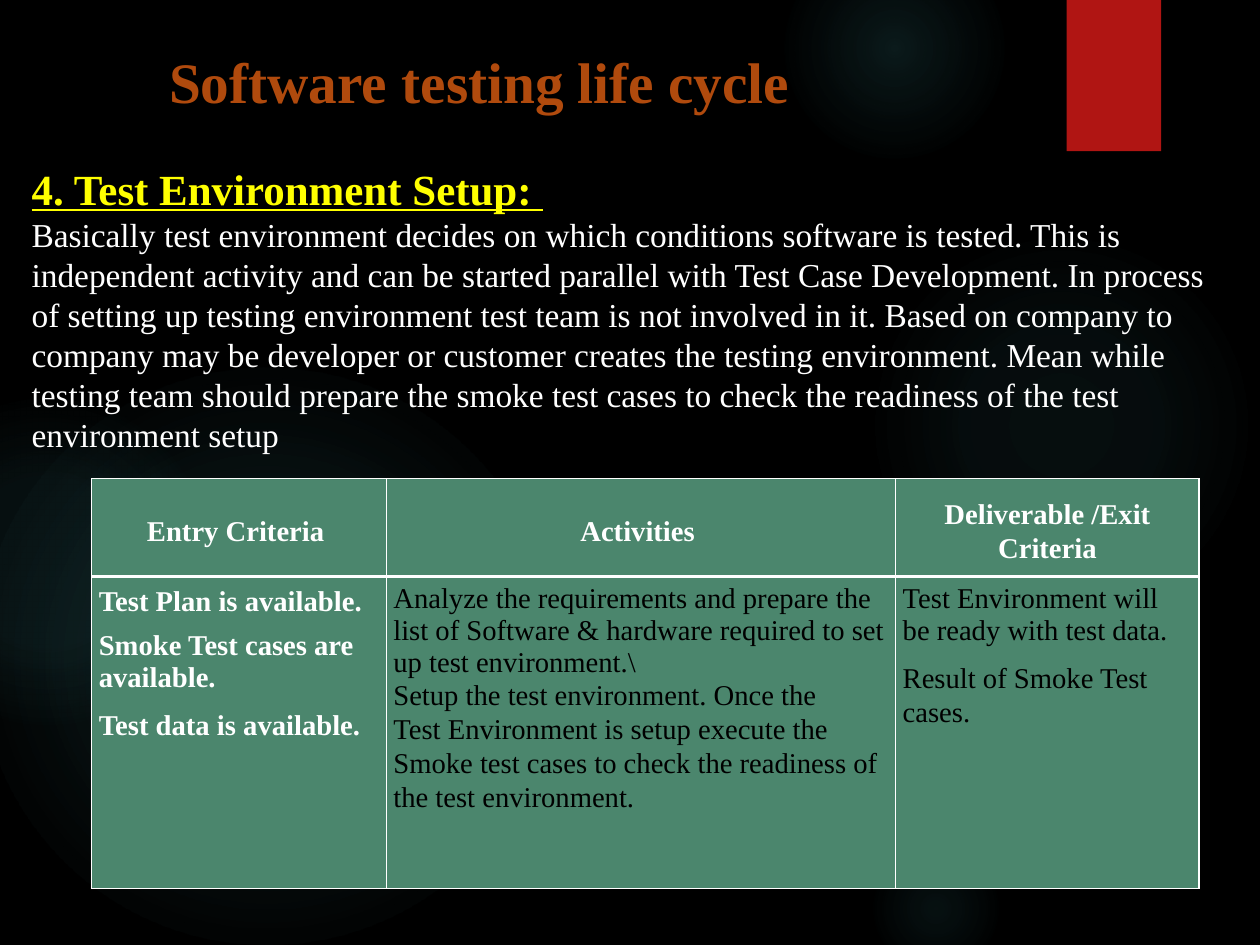
from lxml import etree
from pptx import Presentation
from pptx.dml.color import RGBColor
from pptx.enum.shapes import MSO_SHAPE
from pptx.enum.text import MSO_ANCHOR, PP_ALIGN
from pptx.oxml import parse_xml
from pptx.oxml.ns import qn
from pptx.util import Inches, Pt

OVAL, RECT = MSO_SHAPE.OVAL, MSO_SHAPE.RECTANGLE
TOP, MIDDLE = MSO_ANCHOR.TOP, MSO_ANCHOR.MIDDLE
LEFT, CENTER = PP_ALIGN.LEFT, PP_ALIGN.CENTER

BLACK = RGBColor(0x00, 0x00, 0x00)
WHITE = RGBColor(0xFF, 0xFF, 0xFF)
YELLOW = RGBColor(0xFF, 0xFF, 0x00)
RUST = RGBColor(0xB0, 0x4A, 0x0D)
RED = RGBColor(0xB0, 0x15, 0x13)
GREEN = RGBColor(0x4B, 0x86, 0x6D)
TEAL = RGBColor(0x50, 0xB9, 0xC1)
FONT = "Times New Roman"
SPACE = 'xmlns:a="http://schemas.openxmlformats.org/drawingml/2006/main"'

# left, top, size, then centre and middle opacity and the stop where it fades out
GLOWS = [
    (10.1, 2.69, 4.52, 7, 6, 69),
    (9.13, -0.73, 2.57, 14, 7, 73),
    (10.1, 9.78, 1.59, 9, 5, 66),
    (-0.25, 4.28, 6.72, 11, 10, 75),
    (-1.35, 4.64, 3.79, 8, 8, 72),
]

TITLE = "Software testing life cycle"
HEADING = "4. Test Environment Setup: "
BODY = (
    "Basically test environment decides on which conditions software is tested. "
    "This is independent activity and can be started parallel with Test Case "
    "Development. In process of setting up testing environment test team is not "
    "involved in it. Based on company to company may be developer or customer "
    "creates the testing environment. Mean while testing team should prepare the "
    "smoke test cases to check the readiness of the test environment setup"
)

COLS = [3.43, 5.93, 3.53]
ROWS = [1.14, 3.63]
HEADS = ["Entry Criteria ", "Activities ", "Deliverable /Exit Criteria"]
# each paragraph: text, line spacing, space after in points
ENTRY = [
    ("Test Plan is available.", 1.07, 11.1),
    ("Smoke Test cases are available.", 1, 11.9),
    ("Test data is available.", 1.07, 0),
]
TASKS = [
    ("Analyze the requirements and prepare the list of Software & hardware "
     "required to set up test environment.\\", 1, 0),
    ("Setup the test environment. Once the", 1.07, 0),
    ("Test Environment is setup execute the Smoke test cases to check the "
     "readiness of the test environment.", 1.07, 0),
]
EXITS = [
    ("Test Environment will be ready with test data.", 1, 11.9),
    ("Result of Smoke Test cases.", 1.07, 0),
]


def add_shape(slide, kind, left, top, width, height):
    shape = slide.shapes.add_shape(
        kind, Inches(left), Inches(top), Inches(width), Inches(height))
    shape.shadow.inherit = False
    shape.line.fill.background()
    return shape


def add_glow(slide, left, top, size, core, mid, fade):
    """Add a disc of light that fades out from its centre."""
    shape = add_shape(slide, OVAL, left, top, size, size)
    stops = "".join(
        f'<a:gs pos="{pos * 1000}"><a:srgbClr val="{TEAL}">'
        f'<a:alpha val="{alpha * 1000}"/></a:srgbClr></a:gs>'
        for pos, alpha in [(0, core), (36, mid), (fade, 0)])
    grad = parse_xml(
        f'<a:gradFill {SPACE} rotWithShape="1"><a:gsLst>{stops}</a:gsLst>'
        '<a:path path="circle"><a:fillToRect l="50000" t="50000" r="50000" '
        'b="50000"/></a:path></a:gradFill>')
    shape._element.spPr.find(qn("a:prstGeom")).addnext(grad)


def style(para, size, color, bold):
    font = para.font
    font.name, font.size, font.bold = FONT, Pt(size), bold
    font.color.rgb = color


def add_text(slide, left, top, width, height):
    box = slide.shapes.add_textbox(
        Inches(left), Inches(top), Inches(width), Inches(height))
    box.text_frame.word_wrap = True
    return box.text_frame


def set_edges(cell, widths):
    """Draw white cell borders; widths maps side tags to points."""
    props = cell._tc.get_or_add_tcPr()
    for spot, (side, width) in enumerate(widths.items()):
        line = etree.Element(qn(f"a:{side}"), w=str(Pt(width)))
        fill = etree.SubElement(line, qn("a:solidFill"))
        etree.SubElement(fill, qn("a:srgbClr"), val=str(WHITE))
        props.insert(spot, line)


def fill_cell(cell, paras, color, bold, align=LEFT, anchor=TOP, base=1):
    cell.fill.solid()
    cell.fill.fore_color.rgb = GREEN
    cell.margin_left = cell.margin_top = cell.margin_right = Inches(0.08)
    cell.margin_bottom = 0
    cell.vertical_anchor = anchor
    frame = cell.text_frame
    for spot, (text, lines, after) in enumerate(paras):
        para = frame.add_paragraph() if spot else frame.paragraphs[0]
        para.text = text
        para.alignment = align
        para.line_spacing = lines
        para.space_after = Pt(after)
        style(para, 24, color, bold)
    set_edges(cell, {"lnL": 1, "lnR": 1, "lnT": 4 - base if base == 1 else 1,
                     "lnB": base})


def add_grid(slide):
    table = slide.shapes.add_table(
        len(ROWS), len(COLS), Inches(1.07), Inches(5.57),
        Inches(sum(COLS)), Inches(sum(ROWS))).table
    for col, width in zip(table.columns, COLS):
        col.width = Inches(width)
    for row, height in zip(table.rows, ROWS):
        row.height = Inches(height)
    for spot, head in enumerate(HEADS):
        fill_cell(table.cell(0, spot), [(head, 1.07, 0)], WHITE, True,
                  CENTER, MIDDLE, base=3)
    fill_cell(table.cell(1, 0), ENTRY, WHITE, True)
    fill_cell(table.cell(1, 1), TASKS, BLACK, False)
    fill_cell(table.cell(1, 2), EXITS, BLACK, False)


def main():
    deck = Presentation()
    deck.slide_width, deck.slide_height = Inches(14.67), Inches(11)
    slide = deck.slides.add_slide(deck.slide_layouts[6])
    slide.background.fill.solid()
    slide.background.fill.fore_color.rgb = BLACK

    for glow in GLOWS:
        add_glow(slide, *glow)
    ribbon = add_shape(slide, RECT, 12.42, 0, 1.1, 1.76)
    ribbon.fill.solid()
    ribbon.fill.fore_color.rgb = RED

    title = add_text(slide, 1.87, 0.49, 10.73, 1.36).paragraphs[0]
    title.text = TITLE
    style(title, 48, RUST, True)

    add_grid(slide)

    frame = add_text(slide, 0.27, 1.84, 13.93, 3.53)
    head = frame.paragraphs[0]
    head.text = HEADING
    style(head, 36, YELLOW, True)
    head.font.underline = True
    body = frame.add_paragraph()
    body.text = BODY
    style(body, 28, WHITE, False)

    deck.save("out.pptx")


if __name__ == "__main__":
    main()
